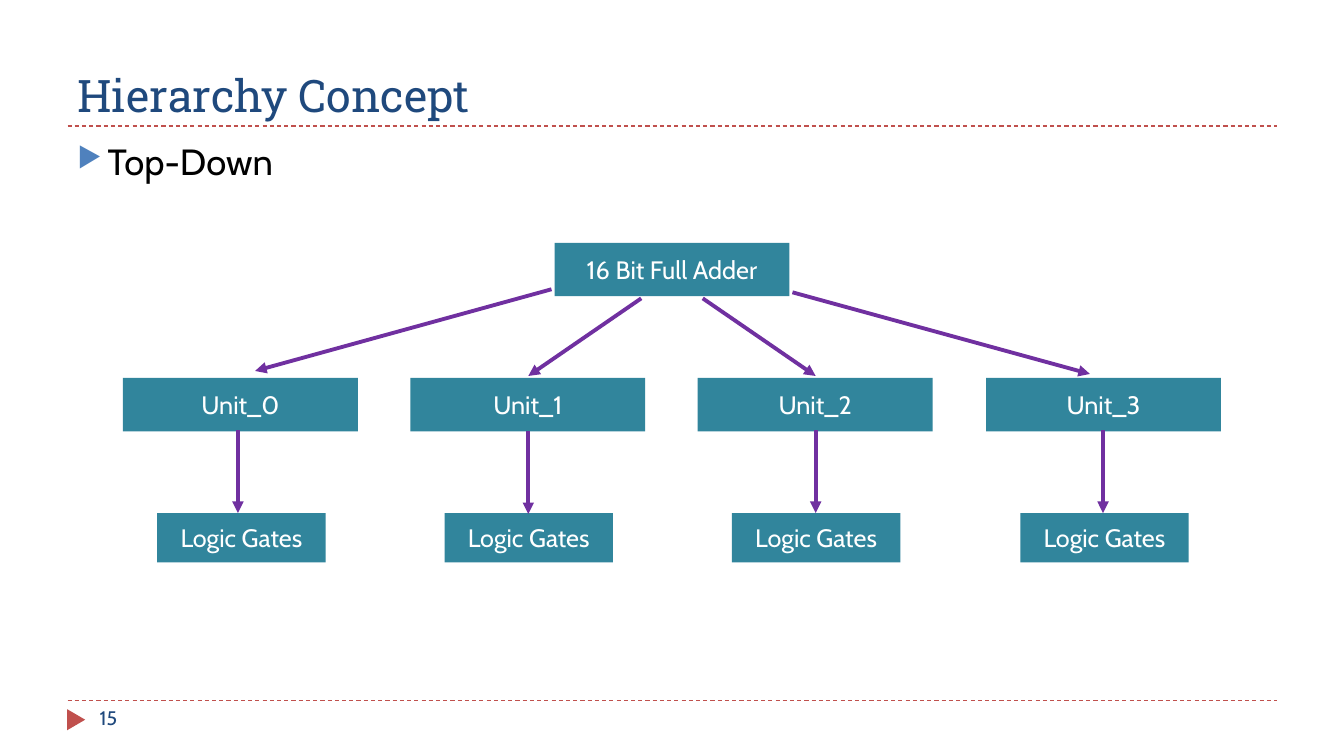
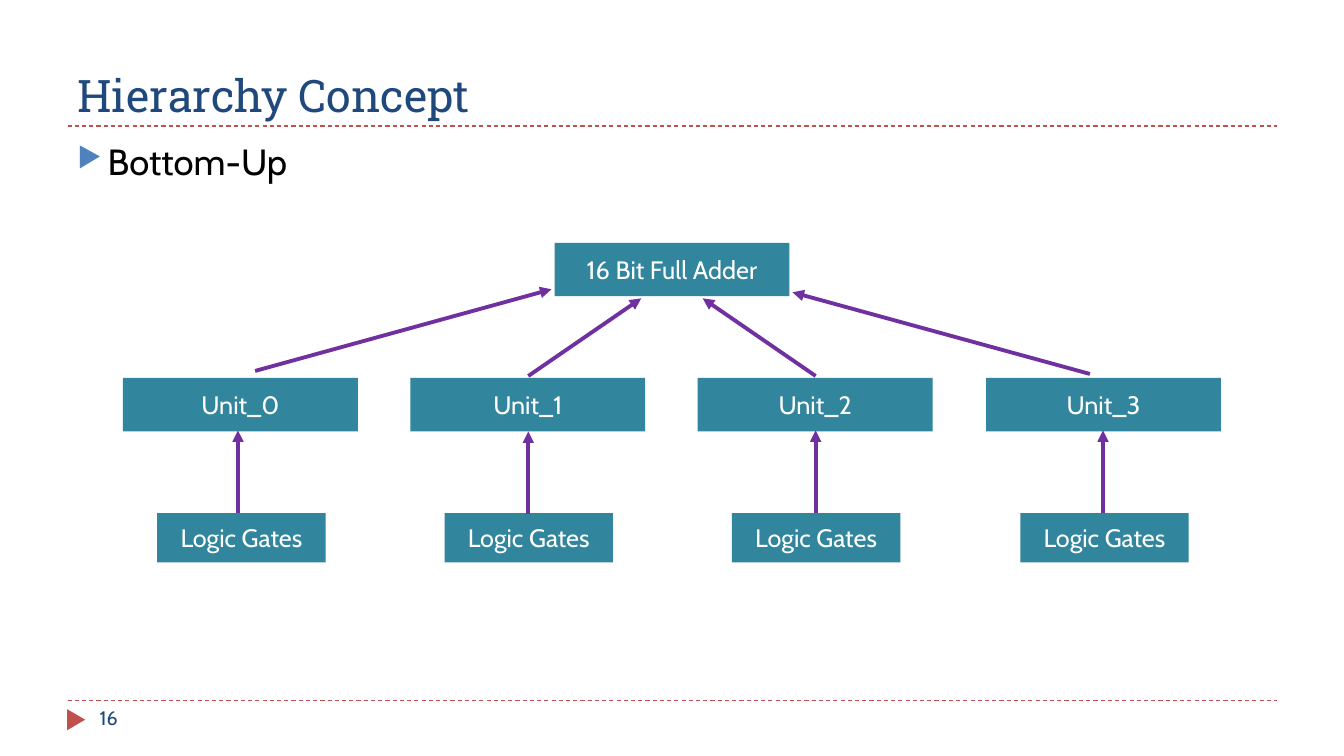
from lxml import etree
from pptx import Presentation, util as u
from pptx.dml.color import RGBColor
from pptx.enum import dml, shapes, text
from pptx.oxml import ns

PX = 9144
HUES = {
    "navy": "1F497D",
    "red": "C0504D",
    "blue": "4F81BD",
    "teal": "31859C",
    "plum": "7030A0",
    "black": "000000",
    "white": "FFFFFF",
}
HEAD, BODY = "Roboto Slab", "Cabin"
COLS = [122 + 856 * i // 3 for i in range(4)]
LINKS = [
    ((547, 287), (253, 368)),
    ((786, 290), (1081, 371)),
    ((697, 296), (809, 373)),
    ((636, 296), (524, 373)),
    ((236, 427), (236, 509)),
    ((524, 428), (524, 510)),
    ((809, 427), (809, 509)),
    ((1094, 427), (1094, 509)),
]


def hue(name):
    return RGBColor.from_string(HUES[name])


def px(*nums):
    return [u.Emu(n * PX) for n in nums]


def node(root, tag, **attrs):
    return etree.SubElement(root, ns.qn(tag), attrs)


def write(shape, words, size=18, font=BODY, color="white",
          align=text.PP_ALIGN.LEFT, anchor=text.MSO_ANCHOR.TOP, bullet=None):
    frame = shape.text_frame
    frame.word_wrap = True
    frame.vertical_anchor = anchor
    para = frame.paragraphs[0]
    para.alignment = align
    run = para.add_run()
    run.text = words
    run.font.size = u.Pt(size)
    run.font.name = font
    run.font.color.rgb = hue(color)
    if bullet:
        para.space_before = u.Pt(6)
        props = para._p.get_or_add_pPr()
        props.set("marL", str(30 * PX))
        props.set("indent", str(-30 * PX))
        node(node(props, "a:buClr"), "a:srgbClr", val=HUES["blue"])
        node(props, "a:buSzPct", val="76000")
        node(props, "a:buChar", char=bullet)


class Deck:
    def __init__(self):
        self.file = Presentation()
        self.file.slide_width, self.file.slide_height = px(1333, 750)
        self.slide = None

    def page(self, title, point, num):
        self.slide = self.file.slides.add_slide(self.file.slide_layouts[6])
        for y in (695, 125):
            self.line((67, y), (1267, y), "red", 0.75, dash=True)
        mark = self.shape(shapes.MSO_SHAPE.ISOSCELES_TRIANGLE, (65, 705, 21, 18), "red")
        mark.rotation = 90
        self.label((67, 17, 1200, 108), title, size=32, font=HEAD,
                   color="navy", anchor=text.MSO_ANCHOR.BOTTOM)
        self.label((67, 133, 1200, 540), point, size=26, color="black", bullet="▶")
        self.label((89, 695, 289, 40), str(num), size=14, color="navy")

    def label(self, area, words, **style):
        write(self.slide.shapes.add_textbox(*px(*area)), words, **style)

    def shape(self, kind, area, color):
        item = self.slide.shapes.add_shape(kind, *px(*area))
        item.shadow.inherit = False
        item.fill.solid()
        item.fill.fore_color.rgb = hue(color)
        item.line.fill.background()
        return item

    def box(self, area, words):
        item = self.shape(shapes.MSO_SHAPE.RECTANGLE, area, "teal")
        write(item, words, align=text.PP_ALIGN.CENTER, anchor=text.MSO_ANCHOR.MIDDLE)

    def line(self, start, end, color, width, dash=False, arrow=False):
        item = self.slide.shapes.add_connector(
            shapes.MSO_CONNECTOR.STRAIGHT, *px(*start, *end))
        item.line.width = u.Pt(width)
        item.line.color.rgb = hue(color)
        if dash:
            item.line.dash_style = dml.MSO_LINE.DASH
        if arrow:
            node(item.line._get_or_add_ln(), "a:tailEnd", type="triangle")
        node(item._element.spPr, "a:effectLst")

    def tree(self, rise):
        self.box((550, 241, 233, 53), "16 Bit Full Adder")
        for i, x in enumerate(COLS):
            self.box((x, 375, 233, 53), f"Unit_{i}")
            self.box((x + 34, 509, 167, 49), "Logic Gates")
        for top, low in LINKS:
            start, end = (low, top) if rise else (top, low)
            self.line(start, end, "plum", 2.75, arrow=True)


def main():
    deck = Deck()
    pages = [("Top-Down", False), ("Bottom-Up", True)]
    for num, (point, rise) in enumerate(pages, 15):
        deck.page("Hierarchy Concept", point, num)
        deck.tree(rise)
    deck.file.save("out.pptx")


if __name__ == "__main__":
    main()
